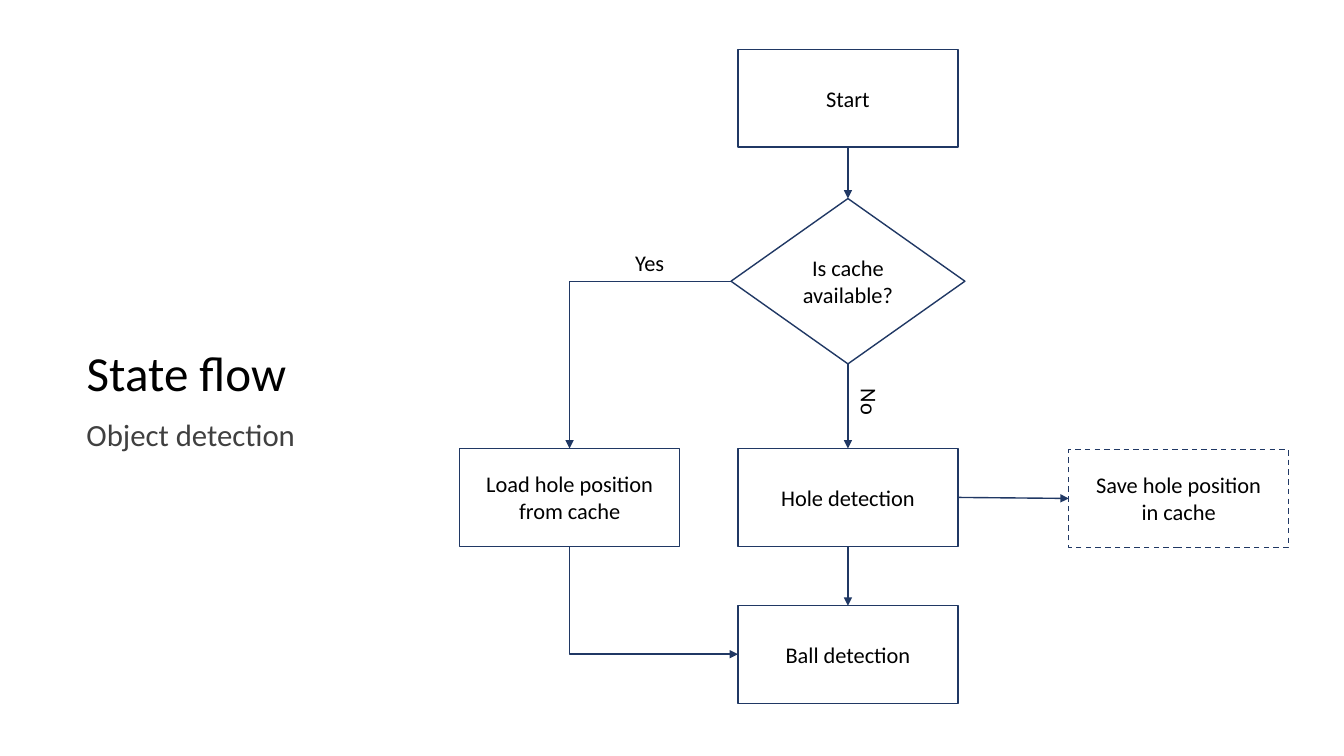
import lxml.etree
import pptx
import pptx.dml.color
import pptx.enum.dml
import pptx.enum.shapes
import pptx.enum.text
import pptx.oxml.ns
import pptx.util

Inches = pptx.util.Inches
Pt = pptx.util.Pt
RGBColor = pptx.dml.color.RGBColor
MSO_SHAPE = pptx.enum.shapes.MSO_SHAPE
MSO_CONNECTOR = pptx.enum.shapes.MSO_CONNECTOR
MSO_ANCHOR = pptx.enum.text.MSO_ANCHOR
MSO_AUTO_SIZE = pptx.enum.text.MSO_AUTO_SIZE
PP_ALIGN = pptx.enum.text.PP_ALIGN
qn = pptx.oxml.ns.qn

NAVY = RGBColor(0x20, 0x38, 0x64)
BLACK = RGBColor(0, 0, 0)
GRAY = RGBColor(0x40, 0x40, 0x40)
WHITE = RGBColor(0xFF, 0xFF, 0xFF)
TOP, LEFT, BOTTOM, RIGHT = range(4)


def write_lines(text_frame, lines, size, color, alignment, spacing=None):
    """Write each line as its own paragraph."""
    for index, line in enumerate(lines):
        paragraph = text_frame.paragraphs[0] if index == 0 else text_frame.add_paragraph()
        paragraph.alignment = alignment
        paragraph.line_spacing = spacing
        run = paragraph.add_run()
        run.text = line
        run.font.name = "Calibri"
        run.font.size = Pt(size)
        run.font.color.rgb = color


def add_arrow(kind, x1, y1, x2, y2):
    connector = slide.shapes.add_connector(kind, Inches(x1), Inches(y1), Inches(x2), Inches(y2))
    connector.line.color.rgb = NAVY
    connector.line.width = Pt(1)
    properties = connector._element.spPr
    lxml.etree.SubElement(properties.find(qn("a:ln")), qn("a:tailEnd"), type="triangle")
    lxml.etree.SubElement(properties, qn("a:effectLst"))
    if kind == MSO_CONNECTOR.ELBOW:
        properties.find(qn("a:prstGeom")).set("prst", "bentConnector2")
    return connector


presentation = pptx.Presentation()
presentation.slide_width = Inches(13.33)
presentation.slide_height = Inches(7.5)
slide = presentation.slides.add_slide(presentation.slide_layouts[5])

# Headings
title = slide.shapes.title
title.left, title.top = Inches(0.76), Inches(3)
title.width, title.height = Inches(11.5), Inches(1.45)
subtitle = slide.shapes.add_textbox(Inches(0.76), Inches(3.61), Inches(11.5), Inches(1.45))
for heading, text, size, color in [
    (title, "State flow", 35, BLACK),
    (subtitle, "Object detection", 22, GRAY),
]:
    text_frame = heading.text_frame
    text_frame.word_wrap = True
    text_frame.auto_size = MSO_AUTO_SIZE.NONE
    text_frame.vertical_anchor = MSO_ANCHOR.MIDDLE
    write_lines(text_frame, [text], size, color, PP_ALIGN.LEFT, 0.9)

# Flowchart steps
BOX = (MSO_SHAPE.RECTANGLE, 2.18, 0.97)
DIAMOND = (MSO_SHAPE.DIAMOND, 2.32, 1.64)
steps = {}
for name, (kind, width, height), center_x, top, lines in [
    ("start", BOX, 8.41, 0.49, ["Start"]),
    ("cache", DIAMOND, 8.41, 1.97, ["Is cache available?"]),
    ("hole", BOX, 8.41, 4.45, ["Hole detection"]),
    ("ball", BOX, 8.41, 6.01, ["Ball detection"]),
    ("load", BOX, 5.65, 4.45, ["Load hole position from cache"]),
    ("save", BOX, 11.69, 4.46, ["Save hole position", "in cache"]),
]:
    step = slide.shapes.add_shape(
        kind, Inches(center_x - width / 2), Inches(top), Inches(width), Inches(height))
    step.shadow.inherit = False
    step.fill.solid()
    step.fill.fore_color.rgb = WHITE
    step.line.color.rgb = NAVY
    step.line.width = Pt(1)
    step.text_frame.word_wrap = True
    step.text_frame.vertical_anchor = MSO_ANCHOR.MIDDLE
    write_lines(step.text_frame, lines, 16, BLACK, PP_ALIGN.CENTER)
    steps[name] = step
steps["save"].line.dash_style = pptx.enum.dml.MSO_LINE.DASH

# Straight arrows
for source, source_side, target, target_side in [
    ("start", BOTTOM, "cache", TOP),
    ("cache", BOTTOM, "hole", TOP),
    ("hole", BOTTOM, "ball", TOP),
    ("hole", RIGHT, "save", LEFT),
]:
    arrow = add_arrow(MSO_CONNECTOR.STRAIGHT, 0, 0, 1, 1)
    arrow.begin_connect(steps[source], source_side)
    arrow.end_connect(steps[target], target_side)

# Bent arrows; the second is turned a quarter so that it runs down, then right
add_arrow(MSO_CONNECTOR.ELBOW, 7.25, 2.79, 5.65, 4.45)
load_to_ball = add_arrow(MSO_CONNECTOR.ELBOW, 7.02, 5.12, 5.95, 6.79)
load_to_ball._element.spPr.find(qn("a:xfrm")).set("rot", str(270 * 60000))

# Branch labels
for text, left, top, width, rotation in [
    ("Yes", 6.2, 2.42, 0.49, 0),
    ("No", 8.39, 3.81, 0.47, 90),
]:
    label = slide.shapes.add_textbox(Inches(left), Inches(top), Inches(width), Inches(0.37))
    label.rotation = rotation
    label.text_frame.word_wrap = False
    label.text_frame.auto_size = MSO_AUTO_SIZE.SHAPE_TO_FIT_TEXT
    write_lines(label.text_frame, [text], 16, BLACK, PP_ALIGN.LEFT)

presentation.save("out.pptx")
